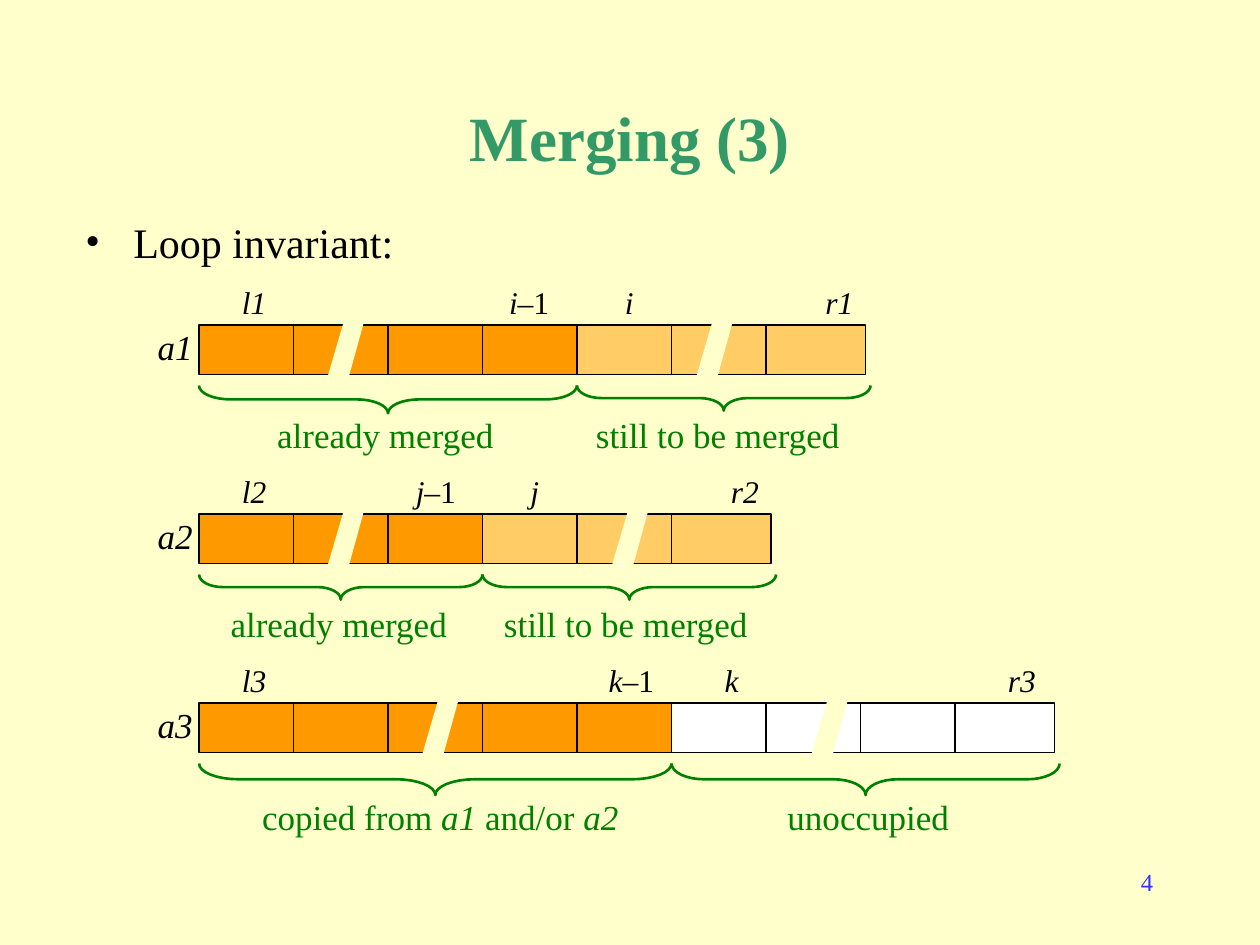
from math import cos, pi, sin

from lxml.etree import SubElement
from pptx import Presentation
from pptx.dml.color import RGBColor
from pptx.enum.shapes import MSO_SHAPE
from pptx.enum.text import MSO_ANCHOR, MSO_AUTO_SIZE, PP_ALIGN
from pptx.oxml.ns import qn
from pptx.util import Inches, Pt

FONT = "Times New Roman"
BACKGROUND, BLACK, GREEN = "FFFFCC", "000000", "008000"
DONE, PENDING, EMPTY = "FF9900", "FFCC66", "FFFFFF"
ARRAY_LEFT, CELL_STEP, CELL_WIDTH, CELL_HEIGHT = 1.58, 0.75, 0.79, 0.39
FIRST_TOP, ARRAY_STEP = 2.58, 1.5

ARRAYS = [
    {
        "name": "a1", "counts": (4, 3), "rest": PENDING,
        "breaks": [(2.58, -0.1), (5.5, -0.08)], "braces": (0.22, 0.2),
        "indices": [(1.92, 0.21, ["l1"]), (4.04, 0.34, ["i", "–1"]),
                    (4.96, 0.08, ["i"]), (6.55, 0.24, ["r1"])],
        "caption_offset": 0.7,
        "captions": [(2.2, 1.74, ["already merged"]),
                     (4.73, 1.96, ["still to be merged"])],
    },
    {
        "name": "a2", "counts": (3, 3), "rest": PENDING,
        "breaks": [(2.58, -0.1), (4.83, -0.08)], "braces": (0.2, 0.2),
        "indices": [(1.92, 0.21, ["l2"]), (3.3, 0.34, ["j", "–1"]),
                    (4.21, 0.08, ["j"]), (5.8, 0.24, ["r2"])],
        "caption_offset": 0.7,
        "captions": [(1.83, 1.74, ["already merged"]),
                     (4, 1.96, ["still to be merged"])],
    },
    {
        "name": "a3", "counts": (5, 4), "rest": EMPTY,
        "breaks": [(3.33, -0.1), (6.42, -0.1)], "braces": (0.25, 0.25),
        "indices": [(1.92, 0.21, ["l3"]), (4.83, 0.38, ["k", "–1"]),
                    (5.75, 0.12, ["k"]), (8, 0.24, ["r3"])],
        "caption_offset": 0.73,
        "captions": [(2.08, 2.85, ["copied from ", "a1", " and/or ", "a2"]),
                     (6.25, 1.3, ["unoccupied"])],
    },
]


def color(value):
    return RGBColor.from_string(value)


def format_run(run, size, fill, bold=False, italic=False):
    font = run.font
    font.name, font.size = FONT, Pt(size)
    font.bold, font.italic = bold, italic
    font.color.rgb = color(fill)


def add_text(slide, left, top, width, height, text, size, fill,
             align=PP_ALIGN.LEFT, bold=False):
    shape = slide.shapes.add_textbox(
        Inches(left), Inches(top), Inches(width), Inches(height))
    shape.text_frame.word_wrap = True
    paragraph = shape.text_frame.paragraphs[0]
    paragraph.text = text
    paragraph.alignment = align
    format_run(paragraph.runs[0], size, fill, bold)
    return shape


def add_label(slide, left, top, width, height, parts, size, fill, italic_first):
    shape = slide.shapes.add_textbox(
        Inches(left), Inches(top), Inches(width), Inches(height))
    frame = shape.text_frame
    frame.word_wrap = False
    frame.auto_size = MSO_AUTO_SIZE.SHAPE_TO_FIT_TEXT
    frame.margin_left = frame.margin_right = 0
    frame.margin_top = frame.margin_bottom = 0
    for position, part in enumerate(parts):
        run = frame.paragraphs[0].add_run()
        run.text = part
        format_run(run, size, fill, italic=(position % 2 == 0) == italic_first)


def add_bullet(paragraph):
    properties = paragraph._p.get_or_add_pPr()
    properties.set("marL", str(Inches(0.38)))
    properties.set("indent", str(Inches(-0.38)))
    SubElement(properties, qn("a:buFont")).set("typeface", FONT)
    SubElement(properties, qn("a:buChar")).set("char", "•")


def add_cell(slide, left, top, fill):
    shape = slide.shapes.add_shape(
        MSO_SHAPE.RECTANGLE, Inches(left), Inches(top),
        Inches(CELL_WIDTH), Inches(CELL_HEIGHT))
    shape.shadow.inherit = False
    shape.fill.solid()
    shape.fill.fore_color.rgb = color(fill)
    shape.line.color.rgb = color(BLACK)
    shape.line.width = Pt(0.75)


def add_outline(slide, points, close):
    points = [(Inches(x), Inches(y)) for x, y in points]
    builder = slide.shapes.build_freeform(*points[0])
    builder.add_line_segments(points[1:], close=close)
    shape = builder.convert_to_shape()
    shape.shadow.inherit = False
    return shape


def add_break(slide, left, top):
    middle, right, bottom = left + 0.17, left + 0.33, top + 0.58
    shape = add_outline(slide, [(middle, top), (right, top),
                                (middle, bottom), (left, bottom)], True)
    shape.fill.solid()
    shape.fill.fore_color.rgb = color(BACKGROUND)
    shape.line.fill.background()


def add_brace(slide, left, top, right, height):
    radius, half = (right - left) / 12, height / 2
    middle = (left + right) / 2
    angles = [step * pi / 16 for step in range(9)]
    points = [(left + radius * (1 - cos(angle)), top + half * sin(angle))
              for angle in angles]
    points += [(middle - radius * (1 - sin(angle)), top + height - half * cos(angle))
               for angle in angles]
    points += [(left + right - x, y) for x, y in points[-2::-1]]
    shape = add_outline(slide, points, False)
    shape.fill.background()
    shape.line.color.rgb = color(GREEN)
    shape.line.width = Pt(1.5)


def add_array(slide, array, top):
    done, rest = array["counts"]
    for position, fill in enumerate([DONE] * done + [array["rest"]] * rest):
        add_cell(slide, ARRAY_LEFT + position * CELL_STEP, top, fill)
    for left, offset in array["breaks"]:
        add_break(slide, left, top + offset)

    split = ARRAY_LEFT + done * CELL_STEP
    end = split + rest * CELL_STEP + 0.08
    spans = [(ARRAY_LEFT, split), (split, end)]
    for (left, right), height in zip(spans, array["braces"]):
        add_brace(slide, left, top + 0.48, right, height)

    add_label(slide, 1.25, top, 0.29, 0.33, [array["name"]], 20, BLACK, True)
    for left, width, parts in array["indices"]:
        add_label(slide, left, top - 0.33, width, 0.3, parts, 18, BLACK, True)
    for left, width, parts in array["captions"]:
        add_label(slide, left, top + array["caption_offset"], width, 0.33,
                  parts, 20, GREEN, False)


def main():
    presentation = Presentation()
    presentation.slide_width, presentation.slide_height = Inches(10), Inches(7.5)
    slide = presentation.slides.add_slide(presentation.slide_layouts[6])
    slide.background.fill.solid()
    slide.background.fill.fore_color.rgb = color(BACKGROUND)

    add_text(slide, 7.17, 6.83, 2.08, 0.5, "4", 14, "3333FF", PP_ALIGN.RIGHT)
    title = add_text(slide, 0.75, 0.67, 8.5, 0.83, "Merging (3)", 36, "339966",
                     PP_ALIGN.CENTER, True)
    title.text_frame.vertical_anchor = MSO_ANCHOR.MIDDLE
    body = add_text(slide, 0.58, 1.67, 8.5, 5, "Loop invariant:", 24, BLACK)
    add_bullet(body.text_frame.paragraphs[0])

    for position, array in enumerate(ARRAYS):
        add_array(slide, array, FIRST_TOP + position * ARRAY_STEP)
    presentation.save("out.pptx")


if __name__ == "__main__":
    main()
